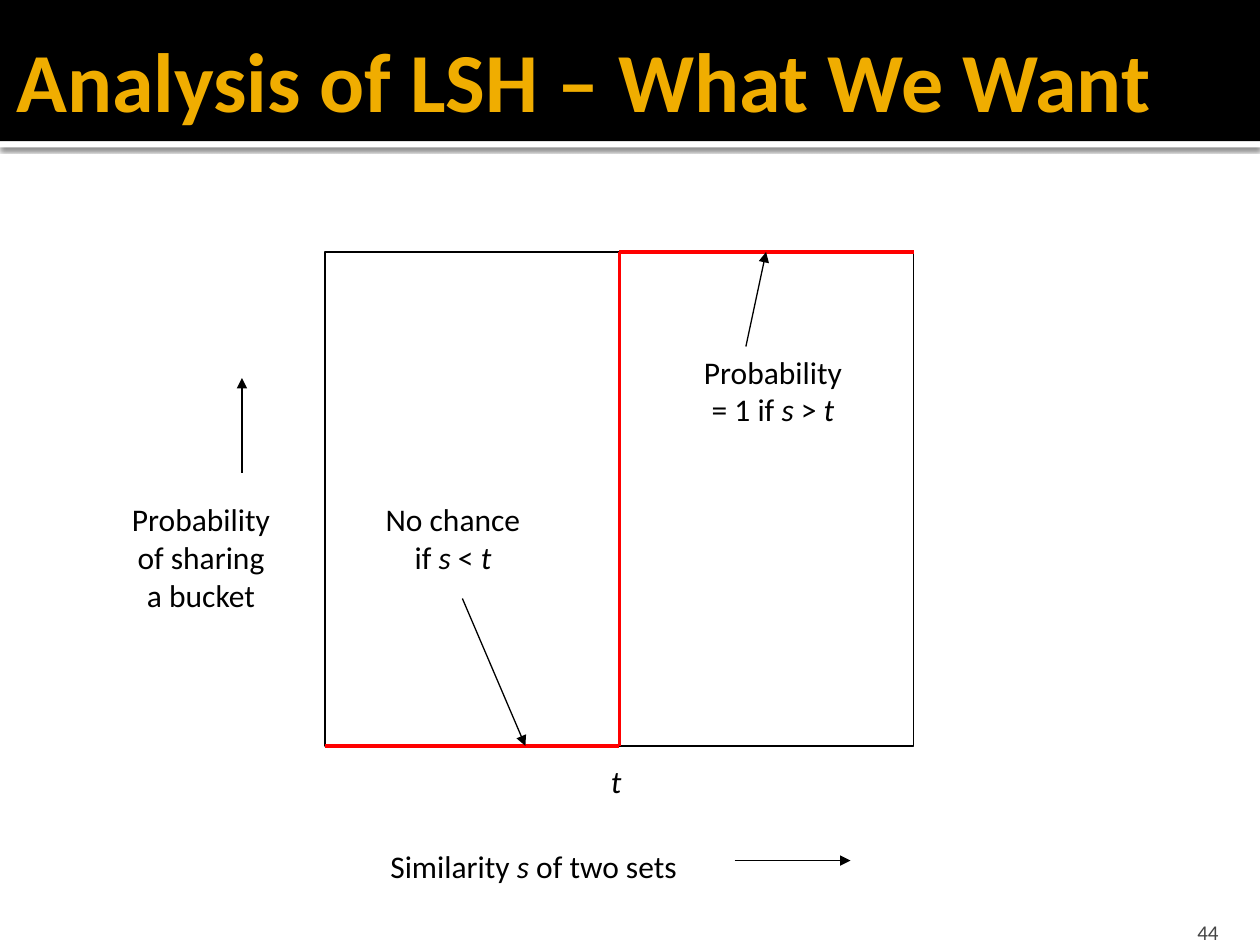
"""Builds the slide on the ideal step curve for locality-sensitive hashing."""
from lxml.etree import SubElement
from pptx import Presentation
from pptx.dml.color import RGBColor
from pptx.enum.shapes import MSO_CONNECTOR as Link, MSO_SHAPE as Shape
from pptx.enum.text import MSO_ANCHOR as Anchor, PP_ALIGN as Align
from pptx.oxml.ns import qn
from pptx.util import Pt

PX = 9144
BLACK = RGBColor(0x00, 0x00, 0x00)
WHITE = RGBColor(0xFF, 0xFF, 0xFF)
RED = RGBColor(0xFF, 0x00, 0x00)
GOLD = RGBColor(0xF0, 0xAD, 0x00)
GREY = RGBColor(0x45, 0x45, 0x45)
BOTTOM, TOP = 2, 0


def add_text(page, place, lines, size=18, color=BLACK, align=Align.CENTER):
    """Adds a text box; each line is a list of (text, italic) runs."""
    box = page.shapes.add_textbox(*[value * PX for value in place])
    frame = box.text_frame
    frame.word_wrap = False
    for index, runs in enumerate(lines):
        para = frame.paragraphs[0] if index == 0 else frame.add_paragraph()
        para.alignment = align
        for text, italic in runs:
            span = para.add_run()
            span.text = text
            span.font.name = "Calibri"
            span.font.size = Pt(size)
            span.font.italic = italic
            span.font.color.rgb = color
    return box


def add_line(page, ends, color=BLACK, width=0.75, arrow=False):
    """Adds a straight line, with an arrowhead at its end if asked."""
    line = page.shapes.add_connector(Link.STRAIGHT, *[value * PX for value in ends])
    line.line.color.rgb = color
    line.line.width = Pt(width)
    if arrow:
        SubElement(line.line._get_or_add_ln(), qn("a:tailEnd"), type="triangle")
    SubElement(line._element.spPr, qn("a:effectLst"))
    return line


deck = Presentation()
deck.slide_width, deck.slide_height = 1000 * PX, 750 * PX
page = deck.slides.add_slide(deck.slide_layouts[5])

for top, height, color in [(112, 5, WHITE), (0, 112, BLACK)]:
    band = page.shapes.add_shape(Shape.RECTANGLE, 0, top * PX, 1000 * PX, height * PX)
    band.fill.solid()
    band.fill.fore_color.rgb = color
    band.line.fill.background()
    band.shadow.inherit = False
    if color == WHITE:
        effects = band._element.spPr.find(qn("a:effectLst"))
        shadow = SubElement(effects, qn("a:outerShdw"), blurRad=str(Pt(2.5)),
                            dist=str(Pt(0.8)), dir="5400000", rotWithShape="0")
        tint = SubElement(shadow, qn("a:srgbClr"), val=str(BLACK))
        SubElement(tint, qn("a:alpha"), val="60000")

title = page.shapes.title
page.shapes._spTree.append(title._element)
title.left, title.top, title.width, title.height = 3 * PX, 0, 1000 * PX, 125 * PX
title.text_frame.vertical_anchor = Anchor.MIDDLE
title.text_frame.margin_left = 10 * PX
title.text_frame.margin_right = 5 * PX
para = title.text_frame.paragraphs[0]
para.alignment = Align.LEFT
span = para.add_run()
span.text = "Analysis of LSH – What We Want"
span.font.name = "Calibri"
span.font.size = Pt(48)
span.font.bold = True
span.font.color.rgb = GOLD

number = add_text(page, (897, 720, 80, 30), [[("44", False)]], 12, GREY, Align.RIGHT)
number.text_frame.vertical_anchor = Anchor.BOTTOM
number.text_frame.margin_bottom = 0

plot = page.shapes.add_shape(Shape.RECTANGLE, 258 * PX, 200 * PX, 467 * PX, 392 * PX)
plot.fill.background()
plot.line.color.rgb = BLACK
plot.line.width = Pt(0.75)
plot.shadow.inherit = False

low = add_line(page, (258, 592, 492, 592), RED, 2)
low.end_connect(plot, BOTTOM)
step = add_line(page, (492, 592, 492, 200), RED, 2)
step.begin_connect(plot, BOTTOM)
step.end_connect(plot, TOP)
high = add_line(page, (492, 200, 725, 200), RED, 2)
high.begin_connect(plot, TOP)

for ends in [(583, 683, 675, 683), (192, 375, 192, 300),
             (367, 475, 417, 592), (592, 275, 608, 200)]:
    add_line(page, ends, arrow=True)

labels = [
    ((296, 667, 255, 40), [[("Similarity ", False), ("s", True), (" of two sets", False)]]),
    ((92, 392, 135, 100), [[("Probability", False)], [("of sharing", False)],
                           [("a bucket", False)]]),
    ((475, 600, 28, 40), [[("t", True)]]),
    ((292, 392, 135, 70), [[("No chance", False)],
                           [("if ", False), ("s", True), (" < ", False), ("t", True)]]),
    ((542, 275, 143, 70), [[("Probability", False)],
                           [("= 1 if ", False), ("s", True), (" > ", False), ("t", True)]]),
]
for place, lines in labels:
    add_text(page, place, lines)

deck.save("out.pptx")
